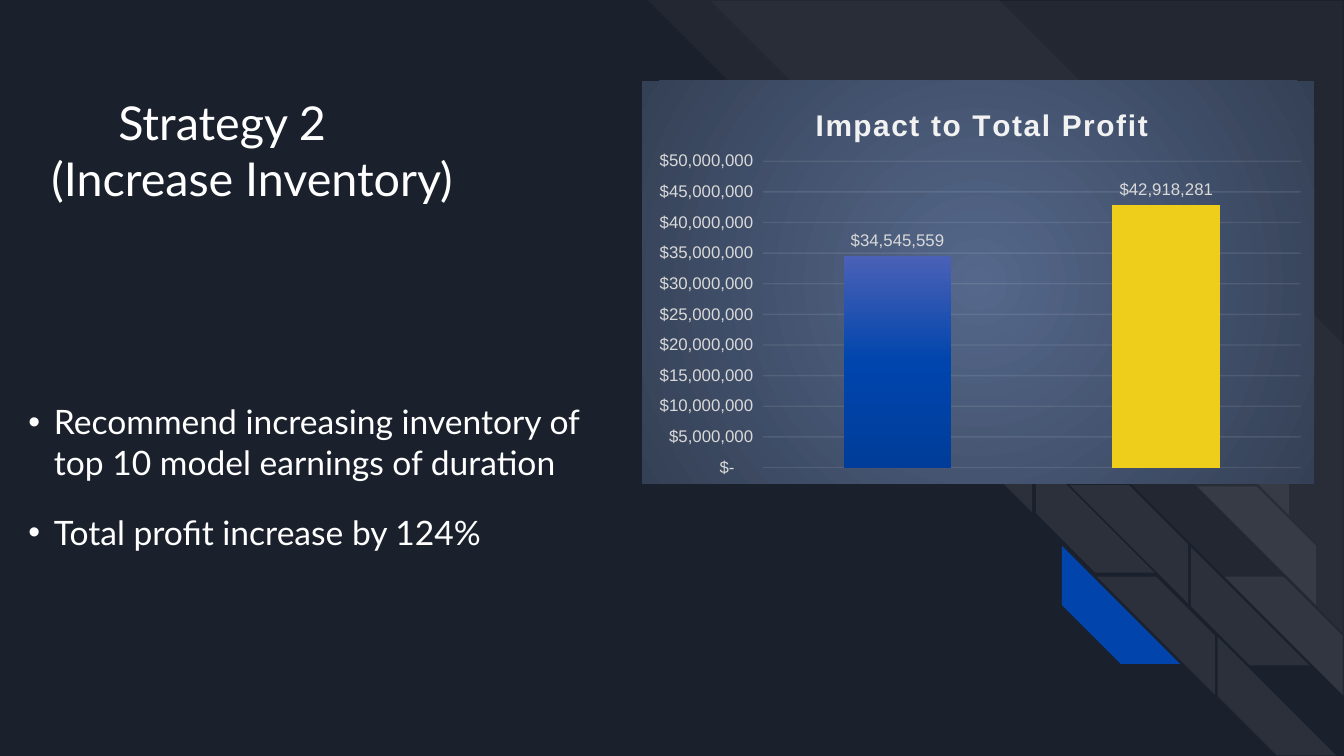
from lxml.etree import SubElement
from pptx import Presentation
from pptx.chart.data import CategoryChartData
from pptx.dml.color import RGBColor
from pptx.enum.chart import XL_CHART_TYPE, XL_LABEL_POSITION, XL_TICK_LABEL_POSITION, XL_TICK_MARK
from pptx.enum.shapes import MSO_SHAPE
from pptx.enum.text import MSO_ANCHOR, MSO_AUTO_SIZE, PP_ALIGN
from pptx.oxml import parse_xml
from pptx.oxml.ns import nsdecls, qn
from pptx.util import Pt

WHITE, PALE, BLUE, YELLOW = "FFFFFF", "D9D9D9", "0145AC", "EECE1A"
DOLLARS = '_("$"* #,##0_);_("$"* \\(#,##0\\);_("$"* "-"??_);_(@_)'
RADIAL = ('<a:path path="circle"><a:fillToRect l="50000" t="50000" '
          'r="50000" b="50000"/></a:path>')
DOWNWARD = '<a:lin ang="5400000" scaled="0"/>'

# Left, top, direction and colour of each small stripe
STRIPES = [
    (489.6, 211, "right", WHITE), (627.1, 212.4, "right", WHITE),
    (641.5, 260.6, "right", WHITE), (555.1, 243.4, "left", WHITE),
    (573.1, 259.9, "right", WHITE), (568.8, 292.3, "left", BLUE),
    (587.5, 308.9, "right", WHITE), (637.9, 293, "left", WHITE),
    (655.9, 308.9, "right", WHITE), (652.3, 341.3, "left", WHITE),
]


def color(value):
    return RGBColor.from_string(value)


def set_alpha(fill_parent, percent):
    for rgb in fill_parent.iter(qn("a:srgbClr")):
        SubElement(rgb, qn("a:alpha"), val=str(percent * 1000))


def gradient(stops, direction):
    marks = "".join(f'<a:gs pos="{position * 1000}"><a:srgbClr val="{value}"/></a:gs>'
                    for position, value in stops)
    return f'<a:gradFill rotWithShape="1"><a:gsLst>{marks}</a:gsLst>{direction}</a:gradFill>'


def set_font(font, size, value, name):
    font.size, font.name = Pt(size), name
    font.color.rgb = color(value)


def place(shape, box):
    shape.left, shape.top, shape.width, shape.height = map(Pt, box)


def add_stripe(slide, box, adjustment, rotation, value, opacity, flipped=False):
    shape = slide.shapes.add_shape(MSO_SHAPE.DIAGONAL_STRIPE, *map(Pt, box))
    shape.shadow.inherit = False
    shape.adjustments[0] = adjustment
    shape.rotation = rotation
    shape.fill.solid()
    shape.fill.fore_color.rgb = color(value)
    if opacity < 100:
        set_alpha(shape.fill._xPr, opacity)
    shape.line.fill.background()
    if flipped:
        shape._element.spPr.find(qn("a:xfrm")).set("flipH", "1")


def add_stripes(slide, box):
    left, top = box[:2]
    add_stripe(slide, (left + 347, top, 373, 373), 0.495, 90, WHITE, 3)
    add_stripe(slide, (left + 380.9, top + 0.5, 338.4, 338.4), 0, 90, WHITE, 3)
    for x, y, direction, value in STRIPES:
        add_stripe(slide, (left + x, top + y, 63.4, 63.4), 0.5,
                   270 if direction == "left" else 0, value,
                   7 if value == WHITE else 100, direction == "right")


def prepare_text(shape, box, top_inset=7.2):
    place(shape, box)
    frame = shape.text_frame
    frame.word_wrap = True
    frame.auto_size = MSO_AUTO_SIZE.NONE
    frame.vertical_anchor = MSO_ANCHOR.TOP
    frame.margin_left = frame.margin_right = frame.margin_bottom = Pt(7.2)
    frame.margin_top = Pt(top_inset)
    return frame


def add_paragraphs(frame, texts, size):
    for index, text in enumerate(texts):
        paragraph = frame.add_paragraph() if index else frame.paragraphs[0]
        paragraph.space_before = Pt(0)
        run = paragraph.add_run()
        run.text = text
        set_font(run.font, size, WHITE, "Lato")
        yield paragraph


def fill_title(shape, box):
    frame = prepare_text(shape, box)
    lines = ["Strategy 2", "(Increase Inventory)"]
    for paragraph, right_margin in zip(add_paragraphs(frame, lines, 25), (32, 0)):
        paragraph.alignment = PP_ALIGN.CENTER
        paragraph._p.get_or_add_pPr().set("marR", str(Pt(right_margin)))


def fill_list(shape, box):
    frame = prepare_text(shape, box, top_inset=45)
    items = ["Recommend increasing inventory of top 10 model earnings of duration",
             "Total profit increase by 124%"]
    for paragraph in add_paragraphs(frame, items, 18):
        paragraph.alignment = PP_ALIGN.LEFT
        paragraph.space_after = Pt(16)
        properties = paragraph._p.get_or_add_pPr()
        properties.set("marL", str(Pt(13.7)))
        properties.set("indent", str(Pt(-13.7)))
        bullet_color = SubElement(properties, qn("a:buClr"))
        SubElement(bullet_color, qn("a:srgbClr"), val=WHITE)
        SubElement(properties, qn("a:buFont"), typeface="Arial")
        SubElement(properties, qn("a:buChar"), char="•")


def set_layout(element, index, **values):
    """Give a chart part a manual layout, as shares of the chart."""
    for layout in element.findall(qn("c:layout")):
        element.remove(layout)
    layout = parse_xml(f'<c:layout {nsdecls("c")}><c:manualLayout/></c:layout>')
    manual = layout[0]
    if "w" in values:
        SubElement(manual, qn("c:layoutTarget"), val="inner")
    for side in "xy":
        SubElement(manual, qn(f"c:{side}Mode"), val="edge")
    for name, value in values.items():
        SubElement(manual, qn(f"c:{name}"), val=str(value))
    element.insert(index, layout)


def format_title(chart):
    chart.has_title = True
    run = chart.chart_title.text_frame.paragraphs[0].add_run()
    run.text = "Impact to Total Profit"
    set_font(run.font, 16, "F2F2F2", "Arial")
    run.font.bold = True
    run._r.get_or_add_rPr().set("spc", "100")
    set_layout(chart.chart_title._element, 1, x=0.25, y=0.05)


def format_axes(chart):
    chart.category_axis.visible = False
    axis = chart.value_axis
    axis.minimum_scale, axis.maximum_scale, axis.major_unit = 0, 50_000_000, 5_000_000
    axis.major_tick_mark = axis.minor_tick_mark = XL_TICK_MARK.NONE
    axis.tick_label_position = XL_TICK_LABEL_POSITION.NEXT_TO_AXIS
    axis.format.line.fill.background()
    axis.tick_labels.number_format = DOLLARS
    axis.tick_labels.number_format_is_linked = False
    set_font(axis.tick_labels.font, 9, PALE, "Arial")
    line = axis.major_gridlines.format.line
    line.width = Pt(0.75)
    line.color.rgb = color("F2F2F2")
    set_alpha(axis.major_gridlines._xAx.find(qn("c:majorGridlines")), 10)


def format_bars(plot):
    plot.gap_width = 150
    plot.vary_by_categories = False
    series = plot.series[0]
    bar_fill = gradient([(0, "4B61B6"), (50, "0045AD"), (100, "003D9A")], DOWNWARD)
    series.format.fill.solid()
    properties = series._element.find(qn("c:spPr"))
    solid = properties.find(qn("a:solidFill"))
    properties.replace(solid, parse_xml(bar_fill.replace("<a:gradFill", f'<a:gradFill {nsdecls("a")}', 1)))
    point_fill = series.points[1].format.fill
    point_fill.solid()
    point_fill.fore_color.rgb = color(YELLOW)
    labels = series.data_labels
    labels.show_value = True
    labels.position = XL_LABEL_POSITION.OUTSIDE_END
    labels.number_format = DOLLARS
    labels.number_format_is_linked = False
    set_font(labels.font, 9, PALE, "Arial")


def add_profit_chart(slide, box):
    data = CategoryChartData()
    data.categories = ["1", "2"]
    data.add_series("Series 1", (34545559, 42918281))
    chart = slide.shapes.add_chart(XL_CHART_TYPE.COLUMN_CLUSTERED, *map(Pt, box), data).chart
    chart.has_legend = False
    set_font(chart.font, 10, "1B212C", "Arial")
    format_title(chart)
    format_axes(chart)
    format_bars(chart.plots[0])
    chart_element = chart._chartSpace.find(qn("c:chart"))
    set_layout(chart_element.find(qn("c:plotArea")), 0, x=0.18, y=0.2, w=0.8, h=0.76)
    background = gradient([(0, "55688B"), (100, "344055")], RADIAL)
    chart_element.addnext(parse_xml(
        f'<c:spPr {nsdecls("c", "a")}>{background}<a:ln><a:noFill/></a:ln></c:spPr>'))


def main():
    presentation = Presentation()
    presentation.slide_width, presentation.slide_height = Pt(720), Pt(405)
    slide = presentation.slides.add_slide(presentation.slide_layouts[0])
    slide.background.fill.solid()
    slide.background.fill.fore_color.rgb = color("1B212C")
    add_stripes(slide, (0, 0, 720, 405))
    fill_title(slide.shapes.title, (8, 43.2, 254, 75))
    fill_list(slide.placeholders[1], (8, 170, 334, 226))
    add_profit_chart(slide, (344, 43.2, 360, 216))
    presentation.save("out.pptx")


if __name__ == "__main__":
    main()
